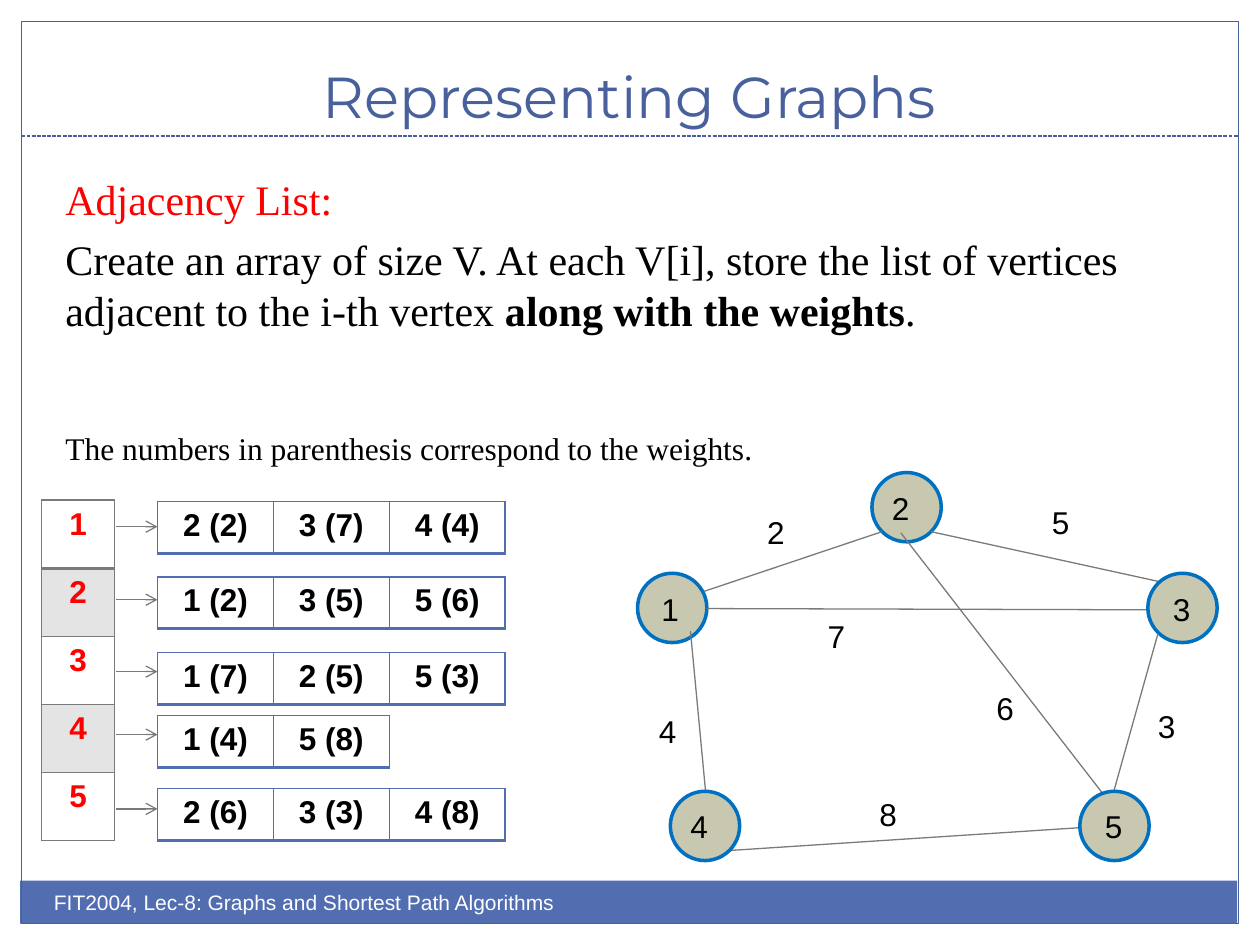
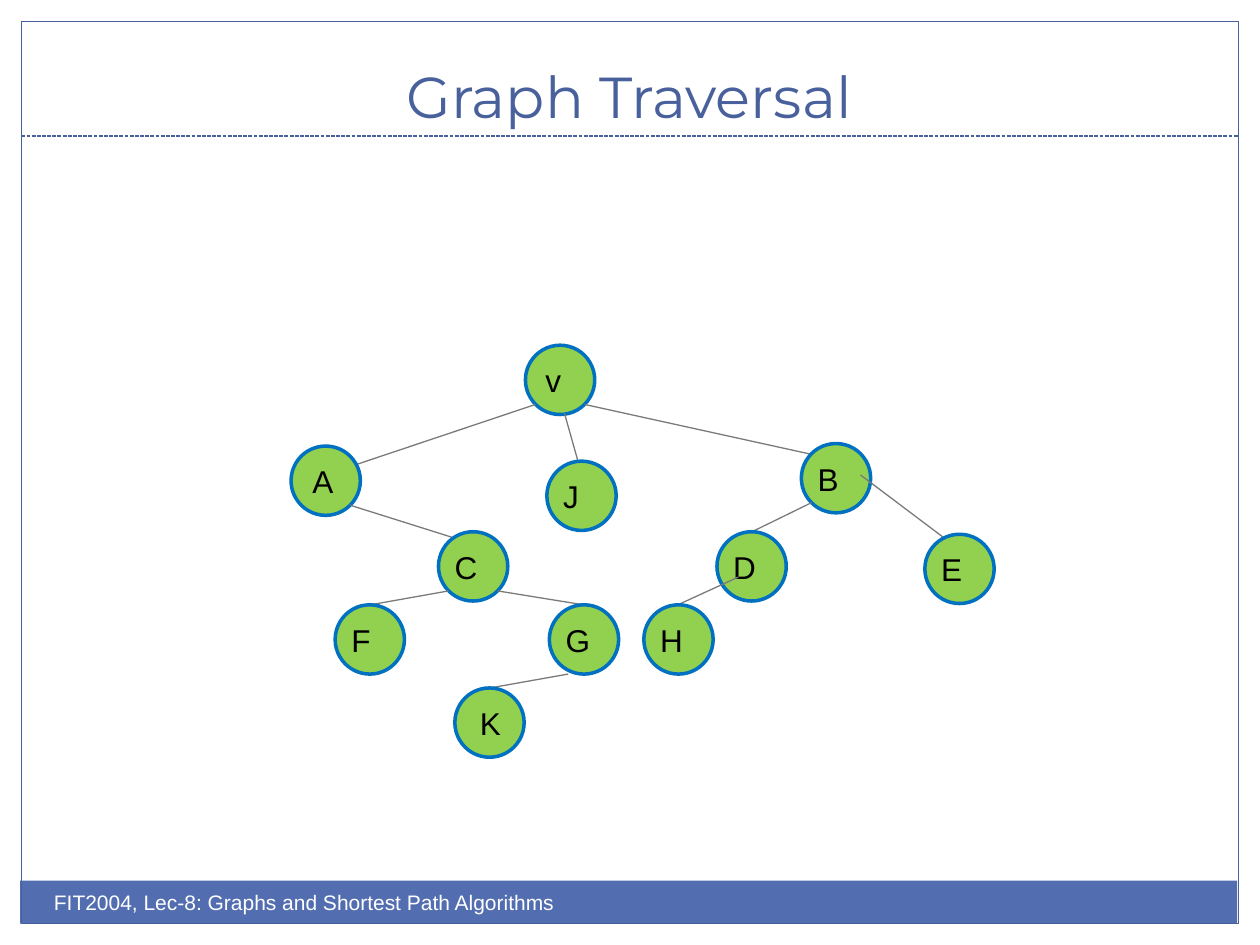
import pptx
import pptx.dml.color
import pptx.enum.dml
import pptx.enum.shapes
import pptx.enum.text
import pptx.oxml
import pptx.oxml.ns
import pptx.util

BLUE, DARK_BLUE, NODE_LINE = "526DB0", "48609B", "0070C0"
GRAY, PALE_GRAY, STONE, GREEN = "7A7A7A", "E4E4E4", "C8C8B1", "92D050"
RED, BLACK, WHITE = "FF0000", "000000", "FFFFFF"
LEFT, CENTER = pptx.enum.text.PP_ALIGN.LEFT, pptx.enum.text.PP_ALIGN.CENTER
TOP, BOTTOM = pptx.enum.text.MSO_ANCHOR.TOP, pptx.enum.text.MSO_ANCHOR.BOTTOM
SHAPES = pptx.enum.shapes.MSO_SHAPE
SERIF = "Times New Roman"
NODE_SIZE = 0.55


def inches(*values):
    """Turn slide inches into lengths given in centimetres."""
    return [pptx.util.Cm(value * 2.54) for value in values]


def color(hex_code):
    """Turn a hex string into a colour."""
    return pptx.dml.color.RGBColor.from_string(hex_code)


def write(paragraph, text, size=18, font="Arial", ink=BLACK, bold=False, align=LEFT, before=0):
    """Add a formatted run to a paragraph."""
    paragraph.alignment = align
    paragraph.space_before = pptx.util.Pt(before)
    run = paragraph.add_run()
    run.text = text
    run.font.size = pptx.util.Pt(size)
    run.font.name = font
    run.font.bold = bold
    run.font.color.rgb = color(ink)


def border(cell, ink, bottom):
    """Outline a cell with 1 pt sides and a bottom line of its own width."""
    properties = cell._tc.get_or_add_tcPr()
    for place, (side, width) in enumerate({"L": 1, "R": 1, "T": 1, "B": bottom}.items()):
        properties.insert(place, pptx.oxml.parse_xml(
            f'<a:ln{side} {pptx.oxml.ns.nsdecls("a")} w="{pptx.util.Pt(width)}">'
            f'<a:solidFill><a:srgbClr val="{ink}"/></a:solidFill></a:ln{side}>'))


class Deck:
    """Hold the presentation, its style and the current slide."""

    def __init__(self):
        """Start a 10 by 7.5 inch presentation."""
        self.presentation = pptx.Presentation()
        self.presentation.slide_width, self.presentation.slide_height = inches(10, 7.5)
        self.shapes = None

    def slide(self, title):
        """Add a slide with the band, frame, title and footer."""
        layout = self.presentation.slide_layouts[6]
        self.shapes = self.presentation.slides.add_slide(layout).shapes
        self.shape(SHAPES.RECTANGLE, 0.16, 6.99, 9.66, 0.34, fill=BLUE)
        self.shape(SHAPES.RECTANGLE, 0.17, 0.17, 9.66, 7.16, outline=DARK_BLUE)
        self.line(0.17, 1.08, 9.83, 1.08, ink=DARK_BLUE, dashed=True)
        self.text(title, 0.33, 0.25, 9.33, 0.83, anchor=BOTTOM,
                  size=33, font="Montserrat", ink=DARK_BLUE, align=CENTER)
        self.text("FIT2004, Lec-8: Graphs and Shortest Path Algorithms",
                  0.33, 7.01, 5, 0.4, size=12, ink=WHITE)

    def shape(self, kind, left, top, width, height, fill=None, outline=None, weight=0.75, parent=None):
        """Add a preset shape."""
        shape = (parent or self.shapes).add_shape(kind, *inches(left, top, width, height))
        shape.shadow.inherit = False
        if fill:
            shape.fill.solid()
            shape.fill.fore_color.rgb = color(fill)
        else:
            shape.fill.background()
        if outline:
            shape.line.color.rgb = color(outline)
            shape.line.width = pptx.util.Pt(weight)
        else:
            shape.line.fill.background()

    def line(self, x1, y1, x2, y2, ink=GRAY, dashed=False, arrow=False):
        """Add a straight line or arrow."""
        line = self.shapes.add_connector(
            pptx.enum.shapes.MSO_CONNECTOR.STRAIGHT, *inches(x1, y1, x2, y2))
        line.line.color.rgb = color(ink)
        line.line.width = pptx.util.Pt(0.75)
        if dashed:
            line.line.dash_style = pptx.enum.dml.MSO_LINE.SQUARE_DOT
        properties = line._element.spPr
        if arrow:
            outline = properties.find(pptx.oxml.ns.qn("a:ln"))
            outline.append(pptx.oxml.parse_xml(
                f'<a:tailEnd {pptx.oxml.ns.nsdecls("a")} type="arrow"/>'))
        properties.append(pptx.oxml.parse_xml(f'<a:effectLst {pptx.oxml.ns.nsdecls("a")}/>'))

    def frame(self, left, top, width, height, anchor=TOP, parent=None):
        """Add an empty wrapping text box and return its text frame."""
        frame = (parent or self.shapes).add_textbox(*inches(left, top, width, height)).text_frame
        frame.word_wrap = True
        frame.vertical_anchor = anchor
        return frame

    def text(self, text, left, top, width=0.45, height=0.4, anchor=TOP, parent=None, **style):
        """Add a text box with one run."""
        frame = self.frame(left, top, width, height, anchor, parent)
        write(frame.paragraphs[0], text, **style)

    def body(self, paragraphs, left, top, width, height):
        """Add a text box of paragraphs, each a list of (text, style) runs."""
        frame = self.frame(left, top, width, height)
        for number, runs in enumerate(paragraphs):
            paragraph = frame.add_paragraph() if number else frame.paragraphs[0]
            for text, style in runs:
                write(paragraph, text, font=SERIF, **style)

    def table(self, rows, left, top, column, height, ink, edge, bottoms, fills):
        """Add a bold centred table with a bottom line and fill for each row."""
        table = self.shapes.add_table(
            len(rows), len(rows[0]),
            *inches(left, top, column * len(rows[0]), height * len(rows))).table
        table.first_row = table.horz_banding = False
        for row, values in enumerate(rows):
            for place, value in enumerate(values):
                cell = table.cell(row, place)
                if fills[row]:
                    cell.fill.solid()
                    cell.fill.fore_color.rgb = color(fills[row])
                else:
                    cell.fill.background()
                border(cell, edge, bottoms[row])
                write(cell.text_frame.paragraphs[0], value, ink=ink, bold=True, align=CENTER)

    def graph(self, nodes, fill):
        """Draw each node with its label, then the edges that lie above it."""
        for label, left, top, indent, edges in nodes:
            node = self.shapes.add_group_shape().shapes
            self.shape(SHAPES.OVAL, left, top, NODE_SIZE, NODE_SIZE, fill, NODE_LINE, 2, node)
            self.text(label, left + indent, top + 0.08, parent=node)
            for edge in edges:
                self.line(*edge)


def adjacency_slide(deck):
    """Build the adjacency list beside its weighted graph."""
    deck.slide("Representing Graphs")
    large = {"size": 24, "before": 5.5}
    deck.body([
        [("Adjacency List:", {**large, "ink": RED})],
        [("Create an array of size V. At each V[i], store the list of vertices "
          "adjacent to the i-th vertex ", large),
         ("along with the weights", {**large, "bold": True}), (".", large)],
        [("The numbers in parenthesis correspond to the weights.", {"before": 54})],
    ], 0.42, 1.33, 9.42, 5)

    deck.table([[vertex] for vertex in "12345"], 0.33, 3.97, 0.58, 0.54, RED, GRAY,
               [2, 1, 1, 1, 1], [None, PALE_GRAY] * 2 + [None])
    neighbours = [
        (3.98, 4.18, ["2 (2)", "3 (7)", "4 (4)"]),
        (4.58, 4.76, ["1 (2)", "3 (5)", "5 (6)"]),
        (5.18, 5.33, ["1 (7)", "2 (5)", "5 (3)"]),
        (5.68, 5.83, ["1 (4)", "5 (8)"]),
        (6.26, 6.42, ["2 (6)", "3 (3)", "4 (8)"]),
    ]
    for top, arrow_y, entries in neighbours:
        deck.table([entries], 1.25, top, 0.92, 0.41, BLACK, BLUE, [2], [None])
        deck.line(0.92, arrow_y, 1.25, arrow_y, arrow=True)

    deck.graph([
        ("2", 6.92, 3.75, 0.06, [(7, 4.22, 5.33, 4.78), (7.39, 4.22, 9.31, 4.64)]),
        ("1", 5.06, 4.55, 0.09, [(5.48, 5.01, 5.6, 6.28), (5.79, 6.75, 8.71, 6.56),
                                 (5.61, 4.83, 9.14, 4.84)]),
        ("3", 9.11, 4.55, 0.1, [(9.19, 5.03, 8.84, 6.28), (7.15, 4.23, 8.8, 6.36)]),
        ("4", 5.32, 6.28, 0.06, []),
        ("5", 8.57, 6.28, 0.1, []),
    ], STONE)
    weights = [("4", 5.13, 5.6), ("8", 6.88, 6.26), ("7", 6.47, 4.85), ("6", 7.81, 5.42),
               ("3", 9.09, 5.56), ("2", 5.99, 4.02), ("5", 8.25, 3.94)]
    for weight, left, top in weights:
        deck.text(weight, left, top)


def traversal_slide(deck):
    """Build the traversal tree."""
    deck.slide("Graph Traversal")
    deck.graph([
        ("v", 4.17, 2.74, 0.06, [(4.25, 3.21, 2.58, 3.77), (4.64, 3.21, 6.55, 3.63),
                                 (4.48, 3.28, 4.59, 3.67)]),
        ("A", 2.31, 3.54, 0.07, [(2.78, 4.01, 3.7, 4.3)]),
        ("C", 3.48, 4.22, 0.03, [(3.56, 4.69, 2.94, 4.8), (3.95, 4.69, 4.63, 4.8)]),
        ("B", 6.36, 3.52, 0.03, [(6.44, 3.99, 5.97, 4.22), (6.83, 3.77, 7.56, 4.32)]),
        ("G", 4.36, 4.8, 0.03, [(4.51, 5.35, 3.89, 5.46)]),
        ("F", 2.66, 4.8, 0.03, []),
        ("D", 5.69, 4.22, 0.03, [(5.86, 4.58, 5.38, 4.8)]),
        ("E", 7.34, 4.24, 0.03, []),
        ("H", 5.11, 4.8, 0.03, []),
        ("J", 4.34, 3.66, 0.03, []),
        ("K", 3.61, 5.46, 0.1, []),
    ], GREEN)


def main():
    """Build and save both slides."""
    deck = Deck()
    adjacency_slide(deck)
    traversal_slide(deck)
    deck.presentation.save("out.pptx")


if __name__ == "__main__":
    main()
